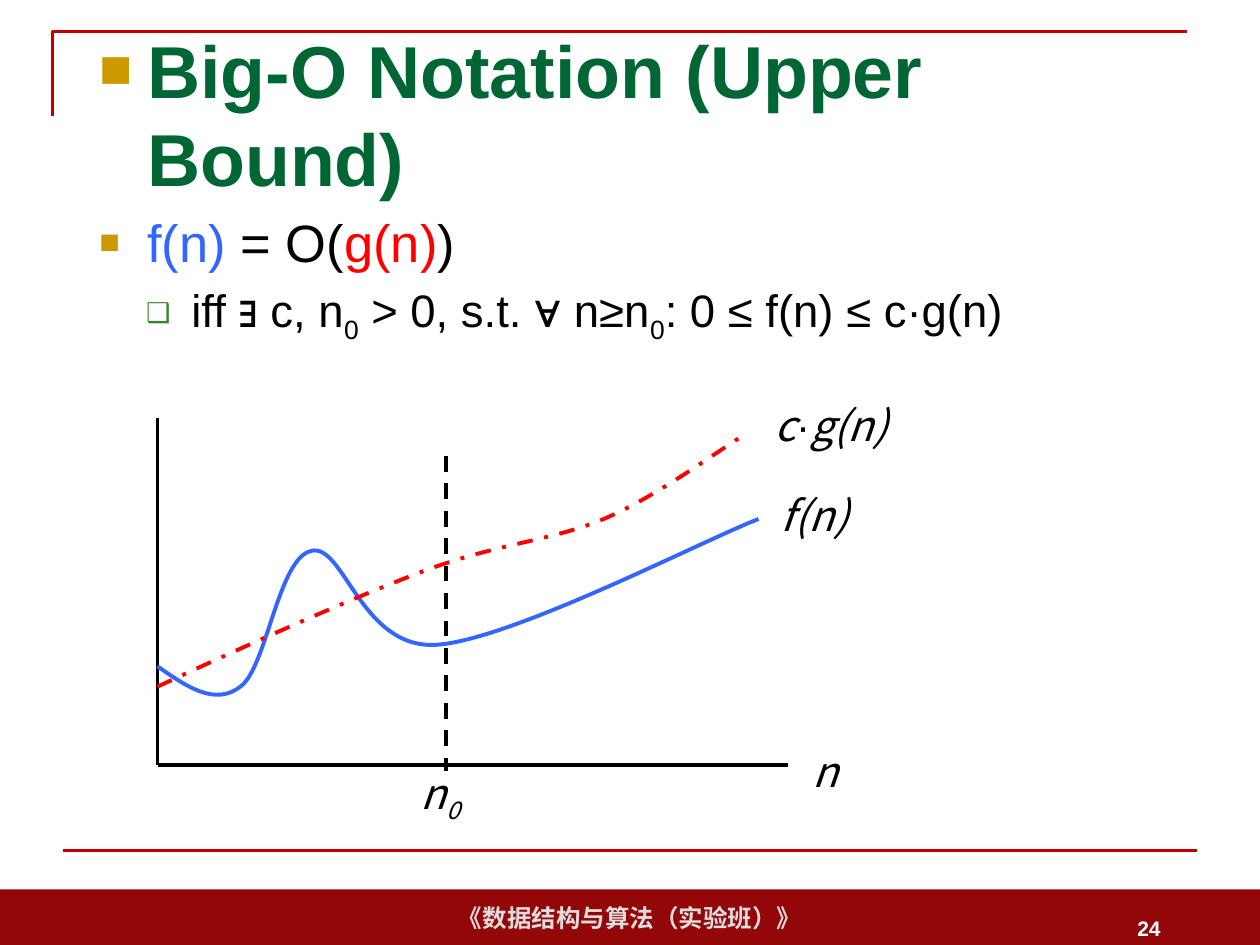
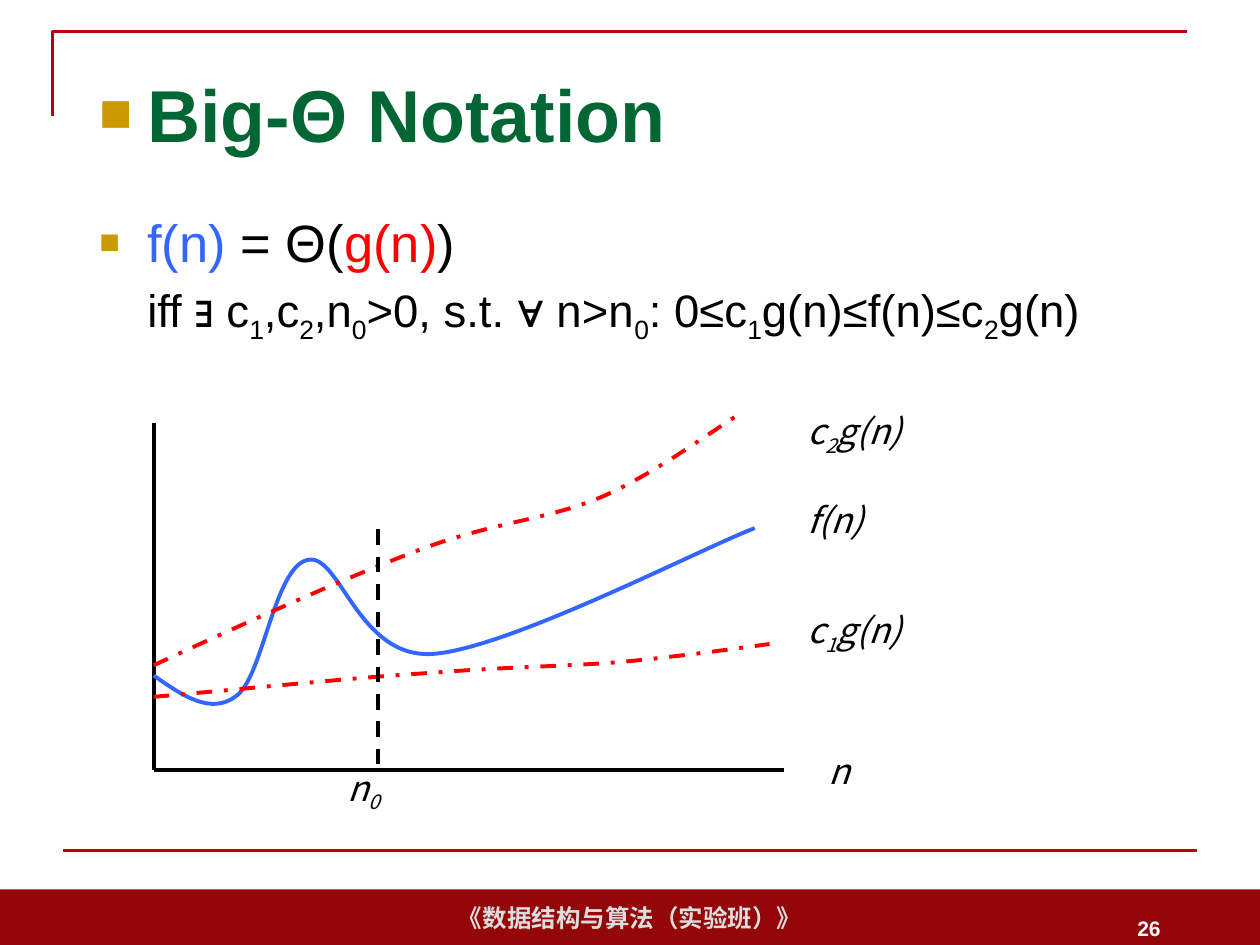
from collections import namedtuple
from dataclasses import dataclass

from lxml import etree
from pptx import Presentation
from pptx.dml.color import RGBColor
from pptx.enum.dml import MSO_LINE
from pptx.enum.shapes import MSO_CONNECTOR, MSO_SHAPE
from pptx.enum.text import MSO_ANCHOR, MSO_AUTO_SIZE, PP_ALIGN
from pptx.oxml.ns import qn
from pptx.util import Pt

STRAIGHT = MSO_CONNECTOR.STRAIGHT
RECTANGLE = MSO_SHAPE.RECTANGLE
DASH, DASH_DOT = MSO_LINE.DASH, MSO_LINE.DASH_DOT
MIDDLE = MSO_ANCHOR.MIDDLE
CENTER, RIGHT = PP_ALIGN.CENTER, PP_ALIGN.RIGHT
GROW = MSO_AUTO_SIZE.SHAPE_TO_FIT_TEXT


@dataclass(frozen=True)
class Theme:
    text_font: str = "Arial"
    label_font: str = "Noto Sans CJK SC"
    band: str = "940709"
    frame: str = "C00000"
    title: str = "006633"
    square: str = "CC9900"
    hollow: str = "3B812F"
    black: str = "000000"
    white: str = "FFFFFF"
    footer: str = "DDDDDD"
    blue: str = "3366FF"
    red: str = "FF0000"
    title_size: float = 42
    head_size: float = 30
    detail_size: float = 26
    footer_size: float = 14
    number_size: float = 12
    frame_line: float = 1.5
    plot_line: float = 2.25


THEME = Theme()
Box = namedtuple("Box", "left top width height")
Bullet = namedtuple("Bullet", "symbol colour percent")
Label = namedtuple("Label", "box text wrap", defaults=(False,))
Curve = namedtuple("Curve", "start bends colour dash", defaults=(None,))

PAGE = Box(0, 0, 720, 540)
TITLE = Box(49.7, 28.8, 621.4, 71.3)
BODY = Box(49.7, 116.6, 621.4, 370.8)
NUMBER = Box(508.3, 516.2, 162, 28.8)
BAND_HEIGHT = 31.7
FRAME = Box(30.2, 18, 648, 48.2)
RULE = Box(36, 486, 648, 0)
HANG = 27.4

# Bezier points, three to a segment, measured from the start of each curve
F_BENDS = [(16.5, 11.5), (33, 23), (47.5, 11.5), (62.5, 0.7), (69, -62), (88, -66),
           (106.5, -70.5), (116.5, -9.5), (159.5, -12.3),
           (202.3, -15.2), (310.3, -71.3), (343.5, -84.2)]
G_BENDS = [(54, -25), (108.5, -49.5), (152, -66), (194.5, -82), (224.6, -83),
           (255.5, -96), (286, -109), (321, -135.3), (335.5, -144)]
LOW_G_BENDS = [(57.5, -5), (114.5, -11), (159, -13.7), (203.8, -17.3), (236, -17.3),
               (268, -20), (300, -23), (336, -28), (352, -30.2)]


def points(*lengths):
    return [Pt(length) for length in lengths]


def within(outer, box):
    return Box(outer.left + box.left, outer.top + box.top, box.width, box.height)


def style_line(line, colour, width, dash=None):
    line.color.rgb = RGBColor.from_string(colour)
    line.width = Pt(width)
    if dash:
        line.dash_style = dash


def add_rule(page, start, end, colour, width, dash=None):
    rule = page.shapes.add_connector(STRAIGHT, *points(*start, *end))
    style_line(rule.line, colour, width, dash)
    etree.SubElement(rule._element.spPr, qn("a:effectLst"))


def add_outline(page, corners, colour, width, dash=None):
    start, *others = [points(*corner) for corner in corners]
    builder = page.shapes.build_freeform(*start)
    builder.add_line_segments(others, close=False)
    outline = builder.convert_to_shape()
    outline.shadow.inherit = False
    outline.fill.background()
    style_line(outline.line, colour, width, dash)
    return outline


def bend(outline):
    """Turn every three straight segments into one cubic Bezier segment."""
    track = outline._element.find(".//" + qn("a:path"))
    steps = track.findall(qn("a:lnTo"))
    for first in range(0, len(steps), 3):
        cubic = etree.SubElement(track, qn("a:cubicBezTo"))
        for step in steps[first:first + 3]:
            cubic.append(step[0])
            track.remove(step)


def add_text_box(page, box, wrap=True):
    text_box = page.shapes.add_textbox(*points(*box))
    text_box.text_frame.word_wrap = wrap
    return text_box.text_frame


def add_span(para, text, size, colour, font=THEME.text_font, bold=False, italic=False):
    span = para.add_run()
    span.text = text
    span.font.name = font
    span.font.size = Pt(size)
    span.font.bold = bold
    span.font.italic = italic
    span.font.color.rgb = RGBColor.from_string(colour)
    return span


def add_formula(para, formula, size, **style):
    """Write a formula in which the character after each "_" is a subscript."""
    plain, *marked = formula.split("_")
    add_span(para, plain, size, THEME.black, **style)
    for piece in marked:
        low = add_span(para, piece[0], size, THEME.black, **style)
        low._r.get_or_add_rPr().set("baseline", "-25000")
        if piece[1:]:
            add_span(para, piece[1:], size, THEME.black, **style)


def set_indent(para, left, first, bullet=None):
    props = para._p.get_or_add_pPr()
    props.set("marL", str(Pt(left)))
    props.set("indent", str(Pt(first)))
    if bullet:
        colour = etree.SubElement(props, qn("a:buClr"))
        etree.SubElement(colour, qn("a:srgbClr"), val=bullet.colour)
        etree.SubElement(props, qn("a:buSzPct"), val=str(bullet.percent * 1000))
        etree.SubElement(props, qn("a:buFont"), typeface=THEME.text_font)
        etree.SubElement(props, qn("a:buChar"), char=bullet.symbol)
    else:
        etree.SubElement(props, qn("a:buNone"))


def add_band(page, box):
    band = page.shapes.add_shape(RECTANGLE, *points(*box))
    band.shadow.inherit = False
    band.fill.solid()
    band.fill.fore_color.rgb = RGBColor.from_string(THEME.band)
    band.line.fill.background()
    frame = band.text_frame
    frame.word_wrap = False
    frame.vertical_anchor = MIDDLE
    para = frame.paragraphs[0]
    para.alignment = CENTER
    add_span(para, "《数据结构与算法（实验班）》", THEME.footer_size, THEME.footer, bold=True)


def add_number(page, box, number):
    frame = add_text_box(page, box)
    frame.vertical_anchor = MIDDLE
    para = frame.paragraphs[0]
    para.alignment = RIGHT
    add_span(para, str(number), THEME.number_size, THEME.white, bold=True)


def add_surround(page, number):
    """Draw the band, red frame, bottom rule and page number."""
    add_band(page, Box(0, PAGE.height - BAND_HEIGHT, PAGE.width, BAND_HEIGHT))
    corners = [(FRAME.left, FRAME.top + FRAME.height), (FRAME.left, FRAME.top),
               (FRAME.left + FRAME.width, FRAME.top)]
    add_outline(page, corners, THEME.frame, THEME.frame_line)
    add_rule(page, (RULE.left, RULE.top), (RULE.left + RULE.width, RULE.top),
             THEME.frame, THEME.frame_line)
    add_number(page, NUMBER, number)


def add_title(page, box, title):
    frame = add_text_box(page, box)
    frame.vertical_anchor = MIDDLE
    para = frame.paragraphs[0]
    set_indent(para, HANG, -HANG, Bullet("■", THEME.square, 75))
    add_span(para, title, THEME.title_size, THEME.title, bold=True)


def add_definition(page, box, symbol, condition, bulleted):
    frame = add_text_box(page, box)
    head = frame.paragraphs[0]
    head.space_before = Pt(THEME.head_size * 0.2)
    set_indent(head, HANG, -HANG, Bullet("■", THEME.square, 65))
    for text, colour in [("f(n)", THEME.blue), (f" = {symbol}(", THEME.black),
                         ("g(n)", THEME.red), (")", THEME.black)]:
        add_span(head, text, THEME.head_size, colour)
    detail = frame.add_paragraph()
    detail.level = 1
    detail.space_before = Pt(THEME.detail_size * 0.2)
    if bulleted:
        set_indent(detail, 52.6, -25.9, Bullet("❑", THEME.hollow, 60))
    else:
        set_indent(detail, HANG, 0)
    add_formula(detail, condition, THEME.detail_size)


def add_label(page, box, label, size):
    """Write an italic label, with any middle dot upright in the text font."""
    frame = add_text_box(page, within(box, label.box), label.wrap)
    frame.auto_size = GROW
    para = frame.paragraphs[0]
    first, dot, rest = label.text.partition("·")
    add_formula(para, first, size, font=THEME.label_font, italic=True)
    if dot:
        add_span(para, dot, size, THEME.black)
        add_formula(para, rest, size, font=THEME.label_font, italic=True)


def add_plot(page, box, curves, threshold, labels, label_size):
    """Draw axes along the left and bottom of box, then its curves and labels."""
    bottom = box.top + box.height
    corner = (box.left, bottom)
    for end in [(box.left + box.width, bottom), (box.left, box.top)]:
        add_rule(page, corner, end, THEME.black, THEME.plot_line)
    for curve in curves:
        start_y = box.top + curve.start
        track = [(box.left + x, start_y + y) for x, y in [(0, 0), *curve.bends]]
        bend(add_outline(page, track, curve.colour, THEME.plot_line, curve.dash))
    x, top, end = threshold
    add_rule(page, (box.left + x, box.top + top), (box.left + x, box.top + end),
             THEME.black, THEME.plot_line, DASH)
    for label in labels:
        add_label(page, box, label, label_size)


def add_notation_page(deck, number, title, definition, plot):
    page = deck.slides.add_slide(deck.slide_layouts[6])
    add_surround(page, number)
    add_title(page, TITLE, title)
    add_definition(page, BODY, **definition)
    add_plot(page, **plot)


def main():
    deck = Presentation()
    deck.slide_width, deck.slide_height = points(PAGE.width, PAGE.height)
    add_notation_page(
        deck, 24, "Big-O Notation (Upper Bound)",
        dict(symbol="O", bulleted=True,
             condition="iff ∃ c, n_0 > 0, s.t. ∀ n≥n_0: 0 ≤ f(n) ≤ c·g(n)"),
        dict(box=Box(90, 239, 360, 198),
             curves=[Curve(141.8, F_BENDS, THEME.blue),
                     Curve(153.4, G_BENDS, THEME.red, DASH_DOT)],
             threshold=(165, 21.6, 201.6),
             labels=[Label(Box(367.2, 183.6, 30.2, 36.7), "n"),
                     Label(Box(349.2, 37.4, 81.4, 36.7), "f(n)", True),
                     Label(Box(345.6, -14.4, 105.8, 36), "c·g(n)", True),
                     Label(Box(143.3, 195.8, 40.3, 36.7), "n_0")],
             label_size=24))
    add_notation_page(
        deck, 26, "Big-Θ Notation",
        dict(symbol="Θ", bulleted=False,
             condition="iff ∃ c_1,c_2,n_0>0, s.t. ∀ n>n_0: 0≤c_1g(n)≤f(n)≤c_2g(n)"),
        dict(box=Box(87.8, 242, 360, 198),
             curves=[Curve(144, F_BENDS, THEME.blue),
                     Curve(156.2, LOW_G_BENDS, THEME.red, DASH_DOT),
                     Curve(138.2, G_BENDS, THEME.red, DASH_DOT)],
             threshold=(128.2, 60.5, 198),
             labels=[Label(Box(366.5, 39.6, 47.5, 31.7), "f(n)"),
                     Label(Box(366.5, 102.2, 71.3, 31.7), "c_1g(n)"),
                     Label(Box(103.7, 192.2, 35.3, 31.7), "n_0"),
                     Label(Box(366.5, -11.5, 71.3, 31.7), "c_2g(n)"),
                     Label(Box(378.7, 183, 27.4, 31.7), "n")],
             label_size=20))
    deck.save("out.pptx")


if __name__ == "__main__":
    main()
